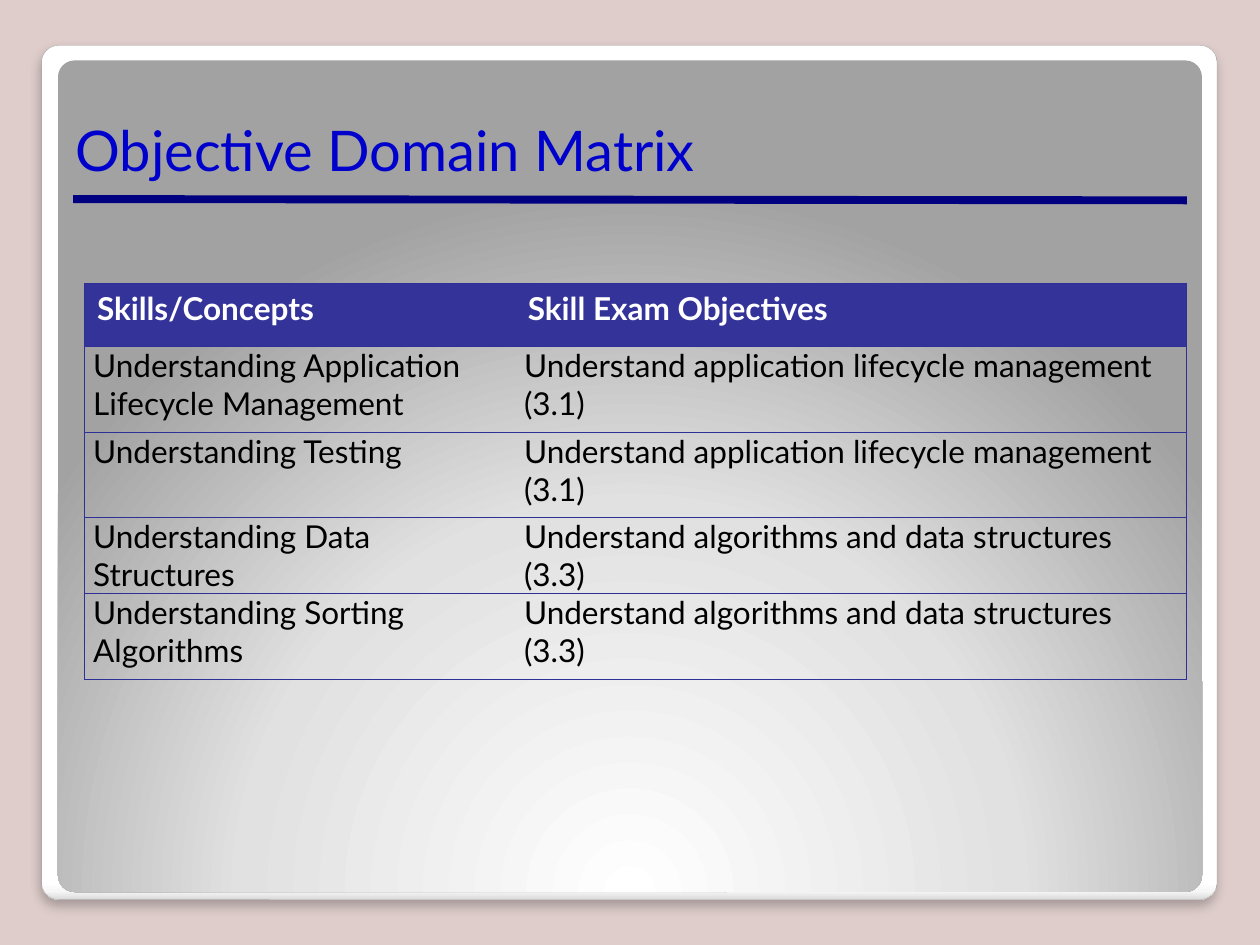
"""Build the Objective Domain Matrix slide."""
from lxml.etree import SubElement as Sub
from pptx import Presentation
from pptx.dml.color import RGBColor as Rgb
from pptx.enum.shapes import MSO_CONNECTOR as Conn, MSO_SHAPE as Shape
from pptx.enum.text import MSO_ANCHOR as Anchor
from pptx.oxml.ns import qn
from pptx.util import Inches, Pt

TITLE = "Objective Domain Matrix"
ROWS = [
    ("Skills/Concepts", "Skill Exam Objectives"),
    ("Understanding Application Lifecycle Management",
     "Understand application lifecycle management (3.1)"),
    ("Understanding Testing",
     "Understand application lifecycle management (3.1)"),
    ("Understanding Data Structures",
     "Understand algorithms and data structures (3.3)"),
    ("Understanding Sorting Algorithms",
     "Understand algorithms and data structures (3.3)"),
]
WIDTHS = [3.42, 5.33]
HEIGHTS = [0.5, 0.68, 0.68, 0.55, 0.68]
THEME = {
    "font": "Lato", "title size": 32, "cell size": 18,
    "page": "DECDCB", "title": "0000CC", "rule": "000080",
    "head": "333399", "grid": "2F2F98", "edge": "A4A4A4",
    "light": "FFFFFF", "dark": "000000",
    "card": [(0, "FFFFFF"), (98, "FFFFFF"), (99, "F7F7F7"), (100, "DADADA")],
    "panel": [(0, "FFFFFF"), (55, "E1E1E1"), (100, "A2A2A2")],
}
PLAIN = "{2D5ABB26-0587-4C30-8999-92F81FD0307C}"


def color(name):
    return Rgb.from_string(THEME[name])


def node(root, tag, **attrs):
    return Sub(root, qn("a:" + tag), {k: str(v) for k, v in attrs.items()})


def style(para, size, name, bold=False):
    font = para.font
    font.name, font.size, font.bold = THEME["font"], Pt(THEME[size]), bold
    font.color.rgb = color(name)


def panel(slide, box, stops):
    shape = slide.shapes.add_shape(Shape.ROUNDED_RECTANGLE, *map(Inches, box))
    shape.adjustments[0] = 0.02
    shape.shadow.inherit = False
    shape.line.fill.background()
    shape.fill.gradient()
    grad = shape._element.spPr.find(qn("a:gradFill"))
    for child in list(grad):
        grad.remove(child)
    group = node(grad, "gsLst")
    for pos, rgb in THEME[stops]:
        node(node(group, "gs", pos=pos * 1000), "srgbClr", val=rgb)
    return shape, grad


def frame(slide):
    card, grad = panel(slide, (0.33, 0.36, 9.33, 6.78), "card")
    node(grad, "lin", ang=5400000, scaled=0)
    card.line.color.rgb = color("edge")
    card.line.width = Pt(0.16)
    effect = card._element.spPr.find(qn("a:effectLst"))
    shade = node(effect, "outerShdw", blurRad=Pt(6), dist=Pt(4),
                 dir=5400000, algn="t", rotWithShape=0)
    node(node(shade, "srgbClr", val=THEME["dark"]), "alpha", val=25000)

    _, grad = panel(slide, (0.46, 0.48, 9.08, 6.6), "panel")
    glow = node(grad, "path", path="circle")
    node(glow, "fillToRect", l=50000, t=175000, r=50000, b=-75000)


def heading(slide):
    ends = map(Inches, (0.58, 1.58, 9.42, 1.59))
    rule = slide.shapes.add_connector(Conn.STRAIGHT, *ends)
    rule.line.color.rgb = color("rule")
    rule.line.width = Pt(4.5)
    node(rule._element.spPr, "effectLst")

    text = slide.shapes.add_textbox(*map(Inches, (0.5, 0.5, 9, 1))).text_frame
    text.word_wrap = True
    text.vertical_anchor = Anchor.BOTTOM
    text.text = TITLE
    style(text.paragraphs[0], "title size", "title")


def border(cell, sides):
    for side in "LRTB":
        line = node(cell._tc.get_or_add_tcPr(), "ln" + side, w=Pt(0.75))
        if side in sides:
            node(node(line, "solidFill"), "srgbClr", val=THEME["grid"])
        else:
            node(line, "noFill")


def matrix(slide):
    box = map(Inches, (0.67, 2.25, sum(WIDTHS), sum(HEIGHTS)))
    table = slide.shapes.add_table(len(ROWS), len(WIDTHS), *box).table
    table.horz_banding = False
    table._tbl.tblPr.find(qn("a:tableStyleId")).text = PLAIN
    for col, width in zip(table.columns, WIDTHS):
        col.width = Inches(width)
    for r, (row, height) in enumerate(zip(ROWS, HEIGHTS)):
        table.rows[r].height = Inches(height)
        for c, words in enumerate(row):
            cell = table.cell(r, c)
            cell.text = words
            border(cell, "LR"[c] + "TB")
            head = r == 0
            if head:
                cell.fill.solid()
                cell.fill.fore_color.rgb = color("head")
            else:
                cell.fill.background()
                cell.margin_left = cell.margin_right = Inches(0.07)
                cell.margin_top = cell.margin_bottom = 0
            style(cell.text_frame.paragraphs[0], "cell size",
                  "light" if head else "dark", head)


def main():
    deck = Presentation()
    deck.slide_width, deck.slide_height = Inches(10), Inches(7.5)
    slide = deck.slides.add_slide(deck.slide_layouts[6])
    slide.background.fill.solid()
    slide.background.fill.fore_color.rgb = color("page")
    frame(slide)
    heading(slide)
    matrix(slide)
    deck.save("out.pptx")


if __name__ == "__main__":
    main()
